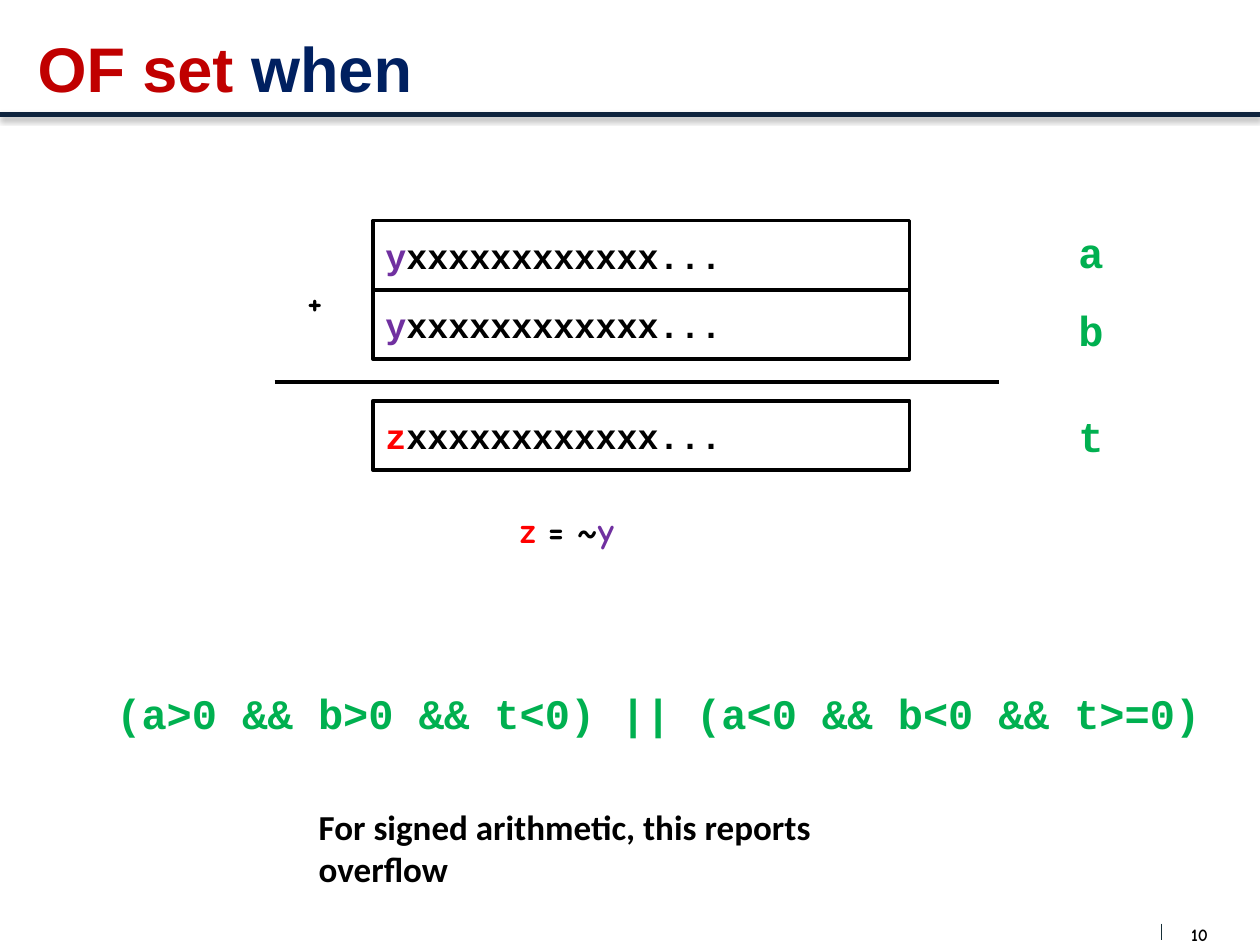
"""Build the slide on when the overflow flag is set."""
from dataclasses import dataclass

from lxml import etree
from pptx import Presentation
from pptx.dml.color import RGBColor
from pptx.enum.shapes import MSO_CONNECTOR, MSO_SHAPE
from pptx.enum.text import MSO_ANCHOR, PP_ALIGN
from pptx.oxml.ns import qn
from pptx.shapes.base import BaseShape
from pptx.slide import Slide
from pptx.util import Pt

STRAIGHT = MSO_CONNECTOR.STRAIGHT
RECTANGLE = MSO_SHAPE.RECTANGLE
TOP = MSO_ANCHOR.TOP
MIDDLE = MSO_ANCHOR.MIDDLE
LEFT = PP_ALIGN.LEFT
CENTER = PP_ALIGN.CENTER

COLORS = {
    "black": "000000",
    "navy": "002060",
    "rule": "0F243E",
    "footer": "172F37",
    "crimson": "C00000",
    "red": "FF0000",
    "purple": "7030A0",
    "green": "00B050",
}
MONO = "Courier New"
COMIC = "Comic Neue"


@dataclass(frozen=True)
class Span:
    text: str
    color: str


@dataclass(frozen=True)
class Label:
    left: float
    top: float
    width: float
    height: float
    font: str
    size: float
    spans: tuple[Span, ...]
    anchor: MSO_ANCHOR = TOP
    align: PP_ALIGN = LEFT
    inset: float = 7.2
    inset_top: float = 3.6


@dataclass(frozen=True)
class Rule:
    left: float
    top: float
    right: float
    bottom: float
    color: str
    weight: float
    shadow: bool = False


REGISTER_LEFT, REGISTER_WIDTH, REGISTER_HEIGHT = 213.1, 306.7, 39.6
REGISTERS = (
    (126, Span("y", "purple")),
    (165.6, Span("y", "purple")),
    (229, Span("z", "red")),
)
OPERANDS = (("a", 126), ("b", 170.6), ("t", 231.1))
RULES = (
    Rule(0, 65.5, 720, 65.5, "rule", 3, True),
    Rule(663.8, 527.8, 663.8, 537.1, "footer", 0.75),
    Rule(157, 218.2, 571, 218.2, "black", 2),
)
LABELS = (
    Label(14.4, 0, 686.2, 77, "Arial", 36,
          (Span("OF set ", "crimson"), Span("when", "navy")), MIDDLE),
    Label(673.2, 527.8, 24.5, 12.2, COMIC, 10, (Span("10", "black"),),
          align=CENTER, inset=0, inset_top=0),
    Label(168.5, 156.2, 36, 58.3, COMIC, 20, (Span("+", "black"),)),
    Label(290.2, 287.3, 111.6, 58.3, COMIC, 20,
          (Span("z", "red"), Span(" = ~", "black"), Span("y", "purple"))),
    Label(175, 456.5, 370, 31.7, "Calibri", 20,
          (Span("For signed arithmetic, this reports overflow", "black"),)),
    Label(0, 389.5, 720, 36, MONO, 24,
          (Span("(a>0 && b>0 && t<0) || (a<0 && b<0 && t>=0)", "green"),),
          inset=66.5),
)


def color_of(name: str) -> RGBColor:
    """Return the named colour."""
    return RGBColor.from_string(COLORS[name])


def write_text(shape: BaseShape, label: Label) -> None:
    """Fill a shape with the spans of a label."""
    frame = shape.text_frame
    frame.word_wrap = True
    frame.vertical_anchor = label.anchor
    frame.margin_left = Pt(label.inset)
    frame.margin_right = Pt(min(label.inset, 7.2))
    frame.margin_top = frame.margin_bottom = Pt(label.inset_top)
    para = frame.paragraphs[0]
    para.alignment = label.align
    for span in label.spans:
        run = para.add_run()
        run.text = span.text
        run.font.name = label.font
        run.font.size = Pt(label.size)
        run.font.bold = True
        run.font.color.rgb = color_of(span.color)


def draw_label(slide: Slide, label: Label) -> None:
    """Draw a text box."""
    box = slide.shapes.add_textbox(
        Pt(label.left), Pt(label.top), Pt(label.width), Pt(label.height))
    write_text(box, label)


def draw_register(slide: Slide, top: float, sign: Span) -> None:
    """Draw an outlined register with its sign bit highlighted."""
    label = Label(REGISTER_LEFT, top, REGISTER_WIDTH, REGISTER_HEIGHT, MONO, 20,
                  (sign, Span("xxxxxxxxxxxx...", "black")), MIDDLE)
    box = slide.shapes.add_shape(
        RECTANGLE, Pt(label.left), Pt(label.top), Pt(label.width), Pt(label.height))
    box.shadow.inherit = False
    box.fill.background()
    box.line.color.rgb = color_of("black")
    box.line.width = Pt(2)
    write_text(box, label)


def draw_rule(slide: Slide, rule: Rule) -> None:
    """Draw a straight line, with a soft shadow if asked."""
    line = slide.shapes.add_connector(
        STRAIGHT, Pt(rule.left), Pt(rule.top), Pt(rule.right), Pt(rule.bottom))
    line.line.color.rgb = color_of(rule.color)
    line.line.width = Pt(rule.weight)
    effects = etree.SubElement(line._element.spPr, qn("a:effectLst"))
    if rule.shadow:
        shadow = etree.SubElement(
            effects, qn("a:outerShdw"), blurRad=str(Pt(3.1)), dist=str(Pt(1.8)),
            dir="5400000", rotWithShape="0")
        tint = etree.SubElement(shadow, qn("a:srgbClr"), val=COLORS["black"])
        etree.SubElement(tint, qn("a:alpha"), val="35000")


def main() -> None:
    """Build and save the deck."""
    deck = Presentation()
    deck.slide_width, deck.slide_height = Pt(720), Pt(540)
    page = deck.slides.add_slide(deck.slide_layouts[6])
    for rule in RULES:
        draw_rule(page, rule)
    for top, sign in REGISTERS:
        draw_register(page, top, sign)
    for label in LABELS:
        draw_label(page, label)
    for name, top in OPERANDS:
        draw_label(page, Label(609.1, top, 28.9, 36, MONO, 24, (Span(name, "green"),)))
    deck.save("out.pptx")


if __name__ == "__main__":
    main()
